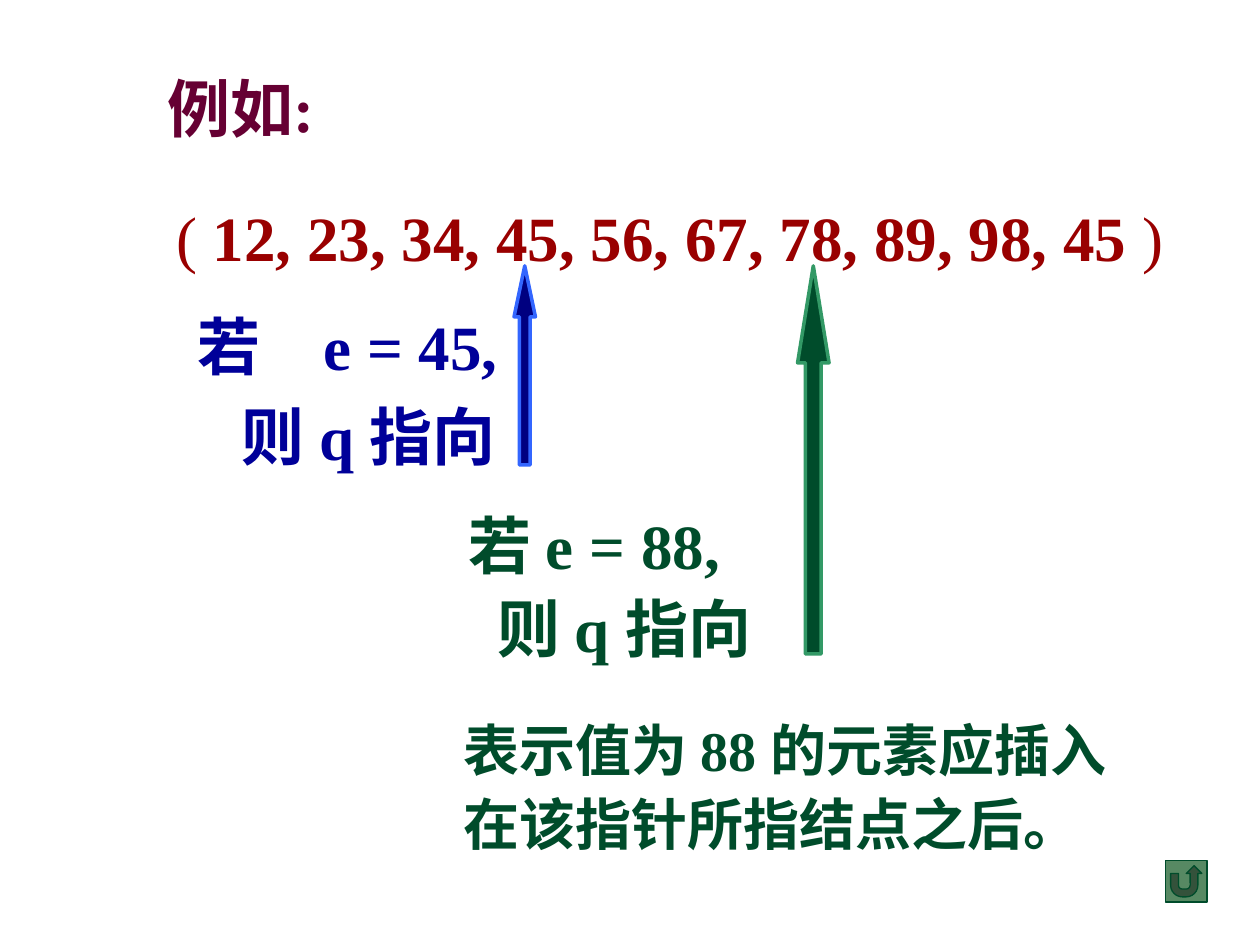
from lxml import etree
from pptx import Presentation
from pptx.dml.color import RGBColor
from pptx.enum.shapes import MSO_SHAPE
from pptx.enum.text import MSO_AUTO_SIZE
from pptx.oxml.ns import qn
from pptx.util import Emu, Pt

PX = 9144  # EMU per px, 100 px to the inch
UP_ARROW = MSO_SHAPE.UP_ARROW
RETURN_BUTTON = MSO_SHAPE.ACTION_BUTTON_RETURN
GROW = MSO_AUTO_SIZE.SHAPE_TO_FIT_TEXT
FONT = "Times New Roman"
COLORS = {
    "title": "660033",
    "list": "990000",
    "found": "000099",
    "found_fill": "000080",
    "found_line": "3366FF",
    "insert": "004C2B",
    "insert_line": "339966",
    "button": "578963",
}


def px(n):
    return Emu(n * PX)


def rgb(name):
    return RGBColor.from_string(COLORS[name])


class Deck:
    def __init__(self, width, height):
        self.prs = Presentation()
        self.prs.slide_width, self.prs.slide_height = px(width), px(height)
        self.s = self.prs.slides.add_slide(self.prs.slide_layouts[6])

    def text(self, box, paragraphs, color, size=36, wrap=False, spacing=None,
             indents=(), tab=None):
        """Add a text box; each paragraph is a list of (text, bold) runs."""
        sp = self.s.shapes.add_textbox(*map(px, box))
        tf = sp.text_frame
        tf.word_wrap = wrap
        tf.auto_size = GROW
        for i, runs in enumerate(paragraphs):
            p = tf.paragraphs[0] if i == 0 else tf.add_paragraph()
            pPr = p._p.get_or_add_pPr()
            if indents:
                pPr.set("marL", "0")
                pPr.set("indent", str(px(indents[i])))
            if tab:
                tabs = etree.SubElement(pPr, qn("a:tabLst"))
                etree.SubElement(tabs, qn("a:tab"), pos=str(px(tab)), algn="l")
            if spacing:
                p.line_spacing = spacing
            for words, bold in runs:
                r = p.add_run()
                r.text = words
                r.font.name = FONT
                r.font.size = Pt(size)
                r.font.bold = bold
                r.font.color.rgb = rgb(color)

    def shape(self, kind, box, fill, line, weight, adjustments=()):
        sp = self.s.shapes.add_shape(kind, *map(px, box))
        sp.shadow.inherit = False
        sp.fill.solid()
        sp.fill.fore_color.rgb = rgb(fill)
        sp.line.color.rgb = rgb(line)
        sp.line.width = Pt(weight)
        for i, value in enumerate(adjustments):
            sp.adjustments[i] = value


def main():
    deck = Deck(1000, 750)
    deck.text((130, 153, 803, 70),
              [[("( ", False),
                ("12, 23, 34, 45, 56, 67, 78, 89, 98, 45", True),
                (" )", False)]], "list")
    deck.text((123, 50, 148, 70), [[("例如:", True)]], "title")

    deck.text((147, 227, 261, 226),
              [[("若\te = 45,", True)], [("则 q 指向", True)]], "found",
              wrap=True, spacing=1.2, indents=(0, 35), tab=84)
    deck.shape(UP_ARROW, (408, 211, 17, 158), "found_fill", "found_line", 2,
               (0.5, 2.38))

    deck.text((362, 391, 309, 142),
              [[("若 e = 88,", True)], [("则 q 指向", True)]], "insert",
              spacing=1.1, indents=(0, 23))
    deck.shape(UP_ARROW, (633, 211, 25, 308), "insert", "insert_line", 2,
               (0.5, 3.08))

    deck.shape(RETURN_BUTTON, (925, 683, 33, 33), "button", "insert", 0.75)
    deck.text((358, 558, 550, 128),
              [[("表示值为 88 的元素应插入在该指针所指结点之后。", True)]],
              "insert", size=32, wrap=True, spacing=1.1)
    deck.prs.save("out.pptx")


if __name__ == "__main__":
    main()
